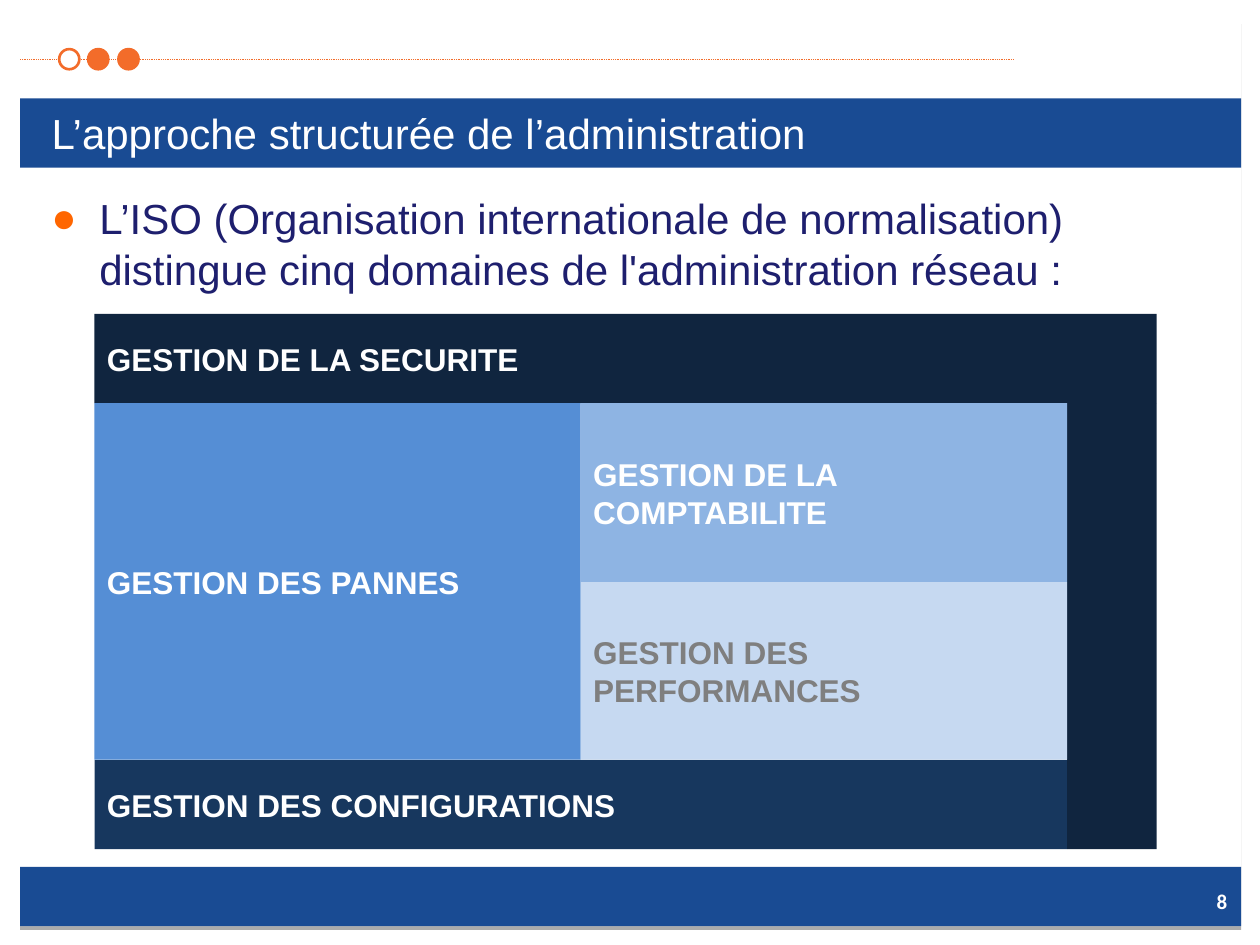
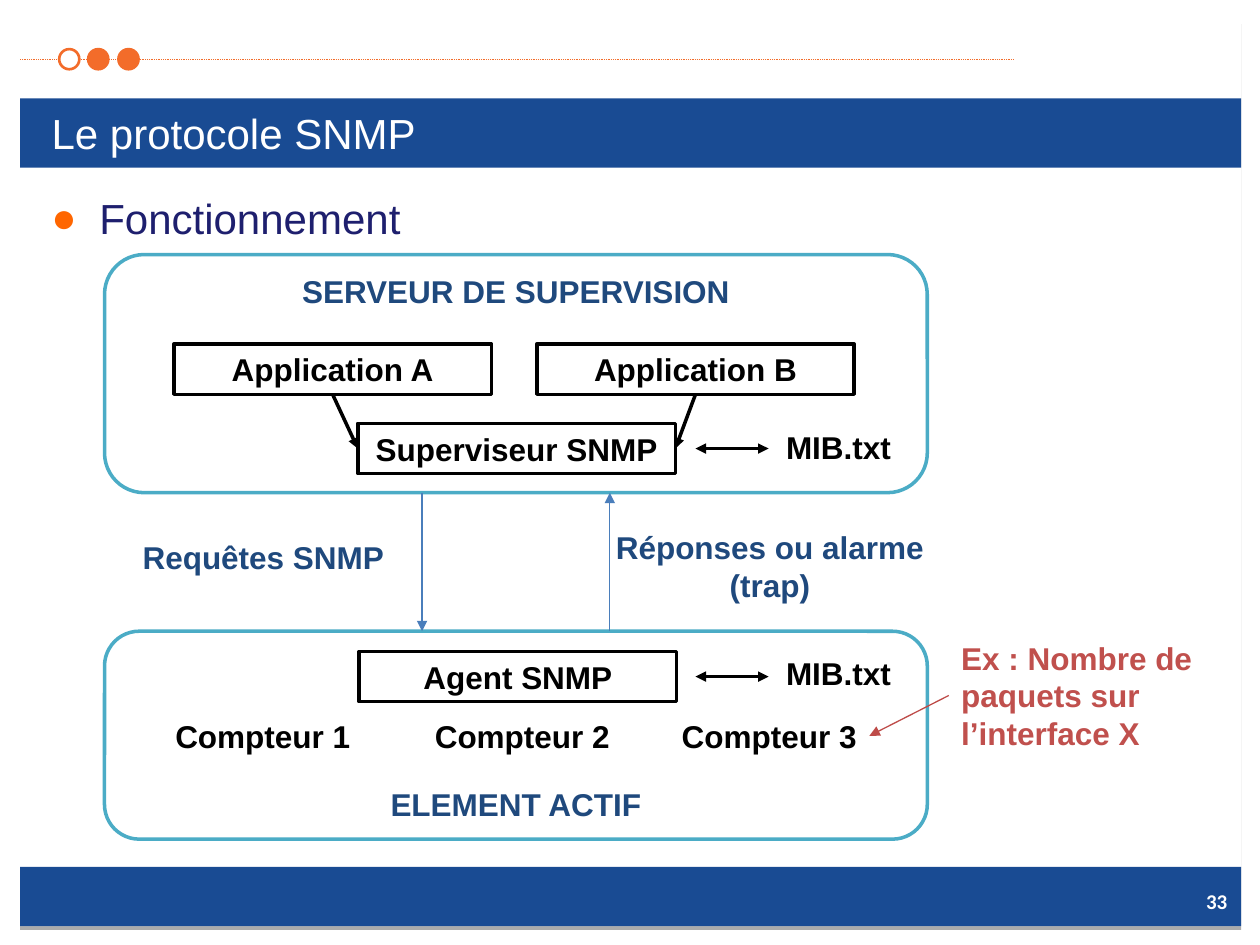
from lxml.etree import SubElement
from pptx import Presentation
from pptx.dml.color import RGBColor
from pptx.enum.dml import MSO_LINE
from pptx.enum.shapes import MSO_CONNECTOR, MSO_SHAPE
from pptx.enum.text import MSO_ANCHOR, PP_ALIGN
from pptx.oxml.ns import qn
from pptx.util import Pt

PX = 9144

WHITE = RGBColor(0xFF, 0xFF, 0xFF)
BLACK = RGBColor(0x00, 0x00, 0x00)
BAND_BLUE = RGBColor(0x19, 0x4B, 0x93)
ORANGE = RGBColor(0xF3, 0x6C, 0x2A)
BODY_INDIGO = RGBColor(0x1E, 0x1F, 0x6E)
SECURITY_NAVY = RGBColor(0x10, 0x25, 0x3F)
CONFIG_NAVY = RGBColor(0x17, 0x37, 0x5E)
FAULT_BLUE = RGBColor(0x55, 0x8E, 0xD5)
ACCOUNTING_BLUE = RGBColor(0x8E, 0xB4, 0xE3)
PERFORMANCE_BLUE = RGBColor(0xC6, 0xD9, 0xF1)
GREY = RGBColor(0x7F, 0x7F, 0x7F)
TEAL = RGBColor(0x4B, 0xAC, 0xC6)
LABEL_BLUE = RGBColor(0x1F, 0x49, 0x7D)
FLOW_BLUE = RGBColor(0x4A, 0x7E, 0xBB)
NOTE_RED = RGBColor(0xC0, 0x50, 0x4D)
NOTE_ARROW_RED = RGBColor(0xBE, 0x4B, 0x48)


def add_box(slide, kind, area, fill, line=None, weight=2):
    box = slide.shapes.add_shape(kind, *[n * PX for n in area])
    box.shadow.inherit = False
    box.fill.solid()
    box.fill.fore_color.rgb = fill
    if line is None:
        box.line.fill.background()
    else:
        box.line.color.rgb = line
        box.line.width = Pt(weight)
    return box


def write(shape, text, color, size=18, bold=True, align=PP_ALIGN.LEFT,
          anchor=MSO_ANCHOR.TOP, font="Arial"):
    frame = shape.text_frame
    frame.text = text
    frame.word_wrap = True
    frame.vertical_anchor = anchor
    paragraph = frame.paragraphs[0]
    paragraph.alignment = align
    for run in paragraph.runs:
        run.font.name = font
        run.font.size = Pt(size)
        run.font.bold = bold
        run.font.color.rgb = color


prs = Presentation()
prs.slide_width = 1000 * PX
prs.slide_height = 750 * PX
layout = prs.slide_layouts[5]

pages = [
    ("L’approche structurée de l’administration",
     "L’ISO (Organisation internationale de normalisation) distingue cinq domaines "
     "de l'administration réseau :", "8"),
    ("Le protocole SNMP", "Fonctionnement", "33"),
]
slides = []
for heading, point, number in pages:
    slide = prs.slides.add_slide(layout)
    slides.append(slide)

    title = slide.shapes.title
    title.left, title.top, title.width, title.height = [n * PX for n in (31, 78, 938, 55)]
    write(title, heading, WHITE, 24, False, anchor=MSO_ANCHOR.MIDDLE)

    body = slide.shapes.add_textbox(*[n * PX for n in (31, 148, 938, 523)])
    write(body, point, BODY_INDIGO, 24, False)
    properties = body.text_frame.paragraphs[0]._p.get_or_add_pPr()
    properties.set("marL", str(38 * PX))
    properties.set("indent", str(-38 * PX))
    SubElement(SubElement(properties, qn("a:buClr")), qn("a:srgbClr"), val="FF6600")
    SubElement(properties, qn("a:buFont"), typeface="Arial")
    SubElement(properties, qn("a:buChar"), char="●")

    page_number = slide.shapes.add_textbox(*[n * PX for n in (898, 695, 86, 40)])
    write(page_number, number, WHITE, 12, align=PP_ALIGN.RIGHT,
          anchor=MSO_ANCHOR.MIDDLE, font="Calibri")

domains, protocol = slides

sheet = add_box(domains, MSO_SHAPE.RECTANGLE, (16, 16, 969, 719), WHITE)
sheet.line.fill.background()
effects = sheet._element.spPr.find(qn("a:effectLst"))
shade = SubElement(effects, qn("a:outerShdw"), blurRad="0", dist=str(Pt(2.2)),
                   dir="5400000", algn="t", rotWithShape="0")
shade_color = SubElement(shade, qn("a:srgbClr"), val="000000")
SubElement(shade_color, qn("a:alpha"), val="32000")

rule = domains.shapes.add_connector(MSO_CONNECTOR.STRAIGHT, 16 * PX, 47 * PX, 805 * PX, 47 * PX)
rule.line.color.rgb = ORANGE
rule.line.width = Pt(0.5)
rule.line.dash_style = MSO_LINE.ROUND_DOT
SubElement(rule._element.spPr, qn("a:effectLst"))

furniture = [sheet, rule]
for top, height in ((688, 47), (78, 55)):
    furniture.append(add_box(domains, MSO_SHAPE.RECTANGLE, (16, top, 969, height), BAND_BLUE))
for index, dot_fill in enumerate((WHITE, ORANGE, ORANGE)):
    dot_area = (47 + index * 47 // 2, 39, 16, 16)
    furniture.append(add_box(domains, MSO_SHAPE.OVAL, dot_area, dot_fill, ORANGE, 1.5))
for part in furniture:
    layout.shapes._spTree.append(part._element)

for area, fill, text, color in (
    ((75, 603, 772, 71), CONFIG_NAVY, "GESTION DES CONFIGURATIONS", WHITE),
    ((75, 249, 843, 71), SECURITY_NAVY, "GESTION DE LA SECURITE", WHITE),
    ((847, 320, 71, 354), SECURITY_NAVY, "", WHITE),
    ((75, 320, 386, 283), FAULT_BLUE, "GESTION DES PANNES", WHITE),
    ((461, 320, 386, 142), ACCOUNTING_BLUE, "GESTION DE LA COMPTABILITE", WHITE),
    ((461, 462, 386, 141), PERFORMANCE_BLUE, "GESTION DES PERFORMANCES", GREY),
):
    domain = add_box(domains, MSO_SHAPE.RECTANGLE, area, fill)
    if text:
        write(domain, text, color, anchor=MSO_ANCHOR.MIDDLE)

for area, text, anchor in (
    ((83, 202, 653, 189), "SERVEUR DE SUPERVISION", MSO_ANCHOR.TOP),
    ((83, 501, 653, 165), "ELEMENT ACTIF", MSO_ANCHOR.BOTTOM),
):
    host = add_box(protocol, MSO_SHAPE.ROUNDED_RECTANGLE, area, WHITE, TEAL)
    write(host, text, LABEL_BLUE, align=PP_ALIGN.CENTER, anchor=anchor)

programs = {}
for left, top, text in (
    (284, 336, "Superviseur SNMP"),
    (138, 273, "Application A"),
    (426, 273, "Application B"),
    (285, 517, "Agent SNMP"),
):
    program = add_box(protocol, MSO_SHAPE.RECTANGLE, (left, top, 252, 40), WHITE, BLACK)
    write(program, text, BLACK, align=PP_ALIGN.CENTER, anchor=MSO_ANCHOR.MIDDLE)
    programs[text] = program

for area, text, color in (
    ((83, 422, 252, 40), "Requêtes SNMP", LABEL_BLUE),
    ((485, 414, 252, 70), "Réponses ou alarme (trap)", LABEL_BLUE),
    ((611, 335, 109, 40), "MIB.txt", BLACK),
    ((611, 514, 109, 40), "MIB.txt", BLACK),
    ((129, 564, 159, 40), "Compteur 1", BLACK),
    ((335, 564, 159, 40), "Compteur 2", BLACK),
    ((531, 564, 159, 40), "Compteur 3", BLACK),
):
    label = protocol.shapes.add_textbox(*[n * PX for n in area])
    write(label, text, color, align=PP_ALIGN.CENTER)
    label.text_frame.margin_left = label.text_frame.margin_right = 0
third_counter = label

example = protocol.shapes.add_textbox(*[n * PX for n in (753, 502, 252, 100)])
write(example, "Ex : Nombre de paquets sur l’interface X", NOTE_RED)

supervisor = programs["Superviseur SNMP"]
TAIL = ("a:tailEnd",)
BOTH = ("a:headEnd", "a:tailEnd")
for ends, color, weight, heads, source, target in (
    ((335, 391, 335, 501), FLOW_BLUE, 0.75, TAIL, None, None),
    ((484, 501, 484, 391), FLOW_BLUE, 0.75, TAIL, None, None),
    ((552, 356, 610, 356), BLACK, 2, BOTH, None, None),
    ((552, 537, 610, 537), BLACK, 2, BOTH, None, None),
    ((264, 313, 284, 356), BLACK, 2, TAIL, (programs["Application A"], 2), (supervisor, 1)),
    ((552, 313, 536, 356), BLACK, 2, TAIL, (programs["Application B"], 2), (supervisor, 3)),
    ((753, 552, 690, 584), NOTE_ARROW_RED, 0.75, TAIL, (example, 1), (third_counter, 3)),
):
    arrow = protocol.shapes.add_connector(MSO_CONNECTOR.STRAIGHT, *[n * PX for n in ends])
    arrow.line.color.rgb = color
    arrow.line.width = Pt(weight)
    for head in heads:
        SubElement(arrow.line._get_or_add_ln(), qn(head), type="triangle")
    SubElement(arrow._element.spPr, qn("a:effectLst"))
    if source:
        arrow.begin_connect(*source)
        arrow.end_connect(*target)

prs.save("out.pptx")
